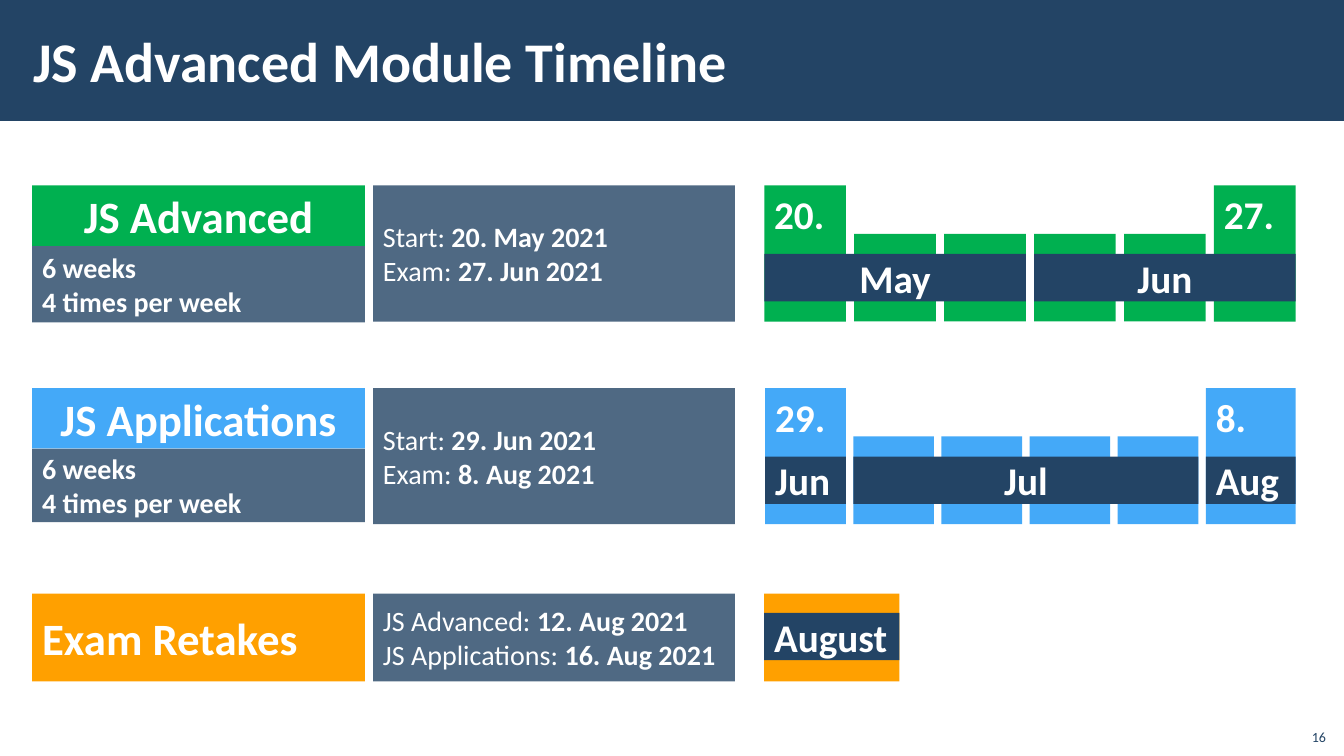
from dataclasses import dataclass
from typing import NamedTuple

from lxml.etree import SubElement
from pptx import Presentation
from pptx.dml.color import RGBColor
from pptx.enum.shapes import MSO_SHAPE
from pptx.enum.text import MSO_ANCHOR, PP_ALIGN
from pptx.oxml.ns import qn
from pptx.shapes.autoshape import Shape
from pptx.slide import Slide
from pptx.util import Inches, Pt

COLORS = {
    "navy": "234465",
    "green": "00B050",
    "blue": "44A9F8",
    "orange": "FFA000",
    "white": "FFFFFF",
}
FONT = "Calibri"
NAME_LEFT, NAME_WIDTH = 0.32, 3.3
DATES_LEFT, DATES_WIDTH = 3.7, 3.59
TIMELINE_RIGHT = 12.85
WEEKS = 6
HEADING_HEIGHT = 0.6
COURSE_HEIGHT = 1.35
WEEK_DROP = 0.48
MONTH_DROP, MONTH_HEIGHT = 0.68, 0.47
RETAKES_TOP, RETAKES_HEIGHT = 5.89, 0.87


class Area(NamedTuple):
    left: float
    top: float
    width: float
    height: float


class Line(NamedTuple):
    label: str
    strong: str


class Month(NamedTuple):
    name: str
    first_week: int
    last_week: int
    align: PP_ALIGN


@dataclass
class Course:
    name: str
    color: str
    top: float
    duration_height: float
    start: str
    exam: str
    first_day: str
    last_day: str
    left: float
    last_left: float
    week_width: float
    months: list[Month]

    def week_left(self, week: int) -> float:
        return self.left + week * (self.last_left - self.left) / (WEEKS - 1)

    def week_right(self, week: int) -> float:
        if week == WEEKS - 1:
            return TIMELINE_RIGHT
        return self.week_left(week) + self.week_width


COURSES = [
    Course("JS Advanced", "green", 1.84, 0.76, "20. May 2021", "27. Jun 2021",
           "20.", "27.", 7.58, 12.04, 0.81,
           [Month("May", 0, 2, PP_ALIGN.CENTER), Month("Jun", 3, 5, PP_ALIGN.CENTER)]),
    Course("JS Applications", "blue", 3.85, 0.73, "29. Jun 2021", "8. Aug 2021",
           "29.", "8.", 7.59, 11.96, 0.8,
           [Month("Jun", 0, 0, PP_ALIGN.LEFT), Month("Jul", 1, 4, PP_ALIGN.CENTER),
            Month("Aug", 5, 5, PP_ALIGN.LEFT)]),
]


def write(box: Shape, lines: list[Line], size: float, color: str = "white",
          align: PP_ALIGN = PP_ALIGN.LEFT, anchor: MSO_ANCHOR = MSO_ANCHOR.MIDDLE,
          inset_x: float = 0.1, inset_y: float = 0.05, wrap: bool = True) -> None:
    """Fill a box with lines, each a regular label followed by bold text."""
    frame = box.text_frame
    frame.word_wrap = wrap
    frame.vertical_anchor = anchor
    frame.margin_left = frame.margin_right = Inches(inset_x)
    frame.margin_top = frame.margin_bottom = Inches(inset_y)
    for index, line in enumerate(lines):
        paragraph = frame.add_paragraph() if index else frame.paragraphs[0]
        paragraph.alignment = align
        for text, bold in ((line.label, False), (line.strong, True)):
            if text:
                span = paragraph.add_run()
                span.text = text
                span.font.name = FONT
                span.font.size = Pt(size)
                span.font.bold = bold
                span.font.color.rgb = RGBColor.from_string(COLORS[color])


def add_block(page: Slide, area: Area, color: str, opacity: int = 100) -> Shape:
    block = page.shapes.add_shape(MSO_SHAPE.RECTANGLE, *map(Inches, area))
    block.shadow.inherit = False
    block.line.fill.background()
    block.fill.solid()
    block.fill.fore_color.rgb = RGBColor.from_string(COLORS[color])
    if opacity < 100:
        fill_color = block.fill._xPr.find(qn("a:solidFill")).find(qn("a:srgbClr"))
        SubElement(fill_color, qn("a:alpha")).set("val", str(opacity * 1000))
    return block


def add_details(page: Slide, area: Area, lines: list[Line]) -> None:
    write(add_block(page, area, "navy", opacity=80), lines, 20)


def add_month(page: Slide, area: Area, name: str, align: PP_ALIGN, wrap: bool = True) -> None:
    write(add_block(page, area, "navy"), [Line("", name)], 28,
          align=align, inset_y=0, wrap=wrap)


def add_timeline(page: Slide, course: Course) -> None:
    days = {0: course.first_day, WEEKS - 1: course.last_day}
    for week in range(WEEKS):
        left = course.week_left(week)
        drop = 0 if week in days else WEEK_DROP
        area = Area(left, course.top + drop, course.week_right(week) - left,
                    COURSE_HEIGHT - drop)
        block = add_block(page, area, course.color)
        if week in days:
            write(block, [Line("", days[week])], 28, anchor=MSO_ANCHOR.TOP)
    for month in course.months:
        left = course.week_left(month.first_week)
        width = course.week_right(month.last_week) - left
        add_month(page, Area(left, course.top + MONTH_DROP, width, MONTH_HEIGHT),
                  month.name, month.align)


def add_course(page: Slide, course: Course) -> None:
    add_details(page, Area(NAME_LEFT, course.top + HEADING_HEIGHT, NAME_WIDTH,
                           course.duration_height),
                [Line("", "6 weeks"), Line("", "4 times per week")])
    heading = add_block(page, Area(NAME_LEFT, course.top, NAME_WIDTH, HEADING_HEIGHT),
                        course.color)
    write(heading, [Line("", course.name)], 32, align=PP_ALIGN.CENTER)
    add_details(page, Area(DATES_LEFT, course.top, DATES_WIDTH, COURSE_HEIGHT),
                [Line("Start: ", course.start), Line("Exam: ", course.exam)])
    add_timeline(page, course)


def add_retakes(page: Slide) -> None:
    heading = add_block(page, Area(NAME_LEFT, RETAKES_TOP, NAME_WIDTH, RETAKES_HEIGHT), "orange")
    write(heading, [Line("", "Exam Retakes")], 32)
    add_details(page, Area(DATES_LEFT, RETAKES_TOP, DATES_WIDTH, RETAKES_HEIGHT),
                [Line("JS Advanced: ", "12. Aug 2021"),
                 Line("JS Applications: ", "16. Aug 2021")])
    august = Area(7.58, RETAKES_TOP, 1.34, RETAKES_HEIGHT)
    add_block(page, august, "orange")
    add_month(page, august._replace(top=6.08, height=MONTH_HEIGHT), "August",
              PP_ALIGN.LEFT, wrap=False)


def main() -> None:
    deck = Presentation()
    deck.slide_width, deck.slide_height = Inches(13.33), Inches(7.5)
    page = deck.slides.add_slide(deck.slide_layouts[6])

    add_block(page, Area(0, 0, 13.33, 1.2), "navy")
    title = page.shapes.add_textbox(*map(Inches, Area(0.21, 0.11, 10.63, 0.97)))
    write(title, [Line("", "JS Advanced Module Timeline")], 40, inset_x=0.12, inset_y=0.04)
    number = page.shapes.add_textbox(*map(Inches, Area(12.85, 7.12, 0.4, 0.32)))
    write(number, [Line("16", "")], 10, "navy", PP_ALIGN.RIGHT, MSO_ANCHOR.BOTTOM)

    for course in COURSES:
        add_course(page, course)
    add_retakes(page)
    deck.save("out.pptx")


if __name__ == "__main__":
    main()
